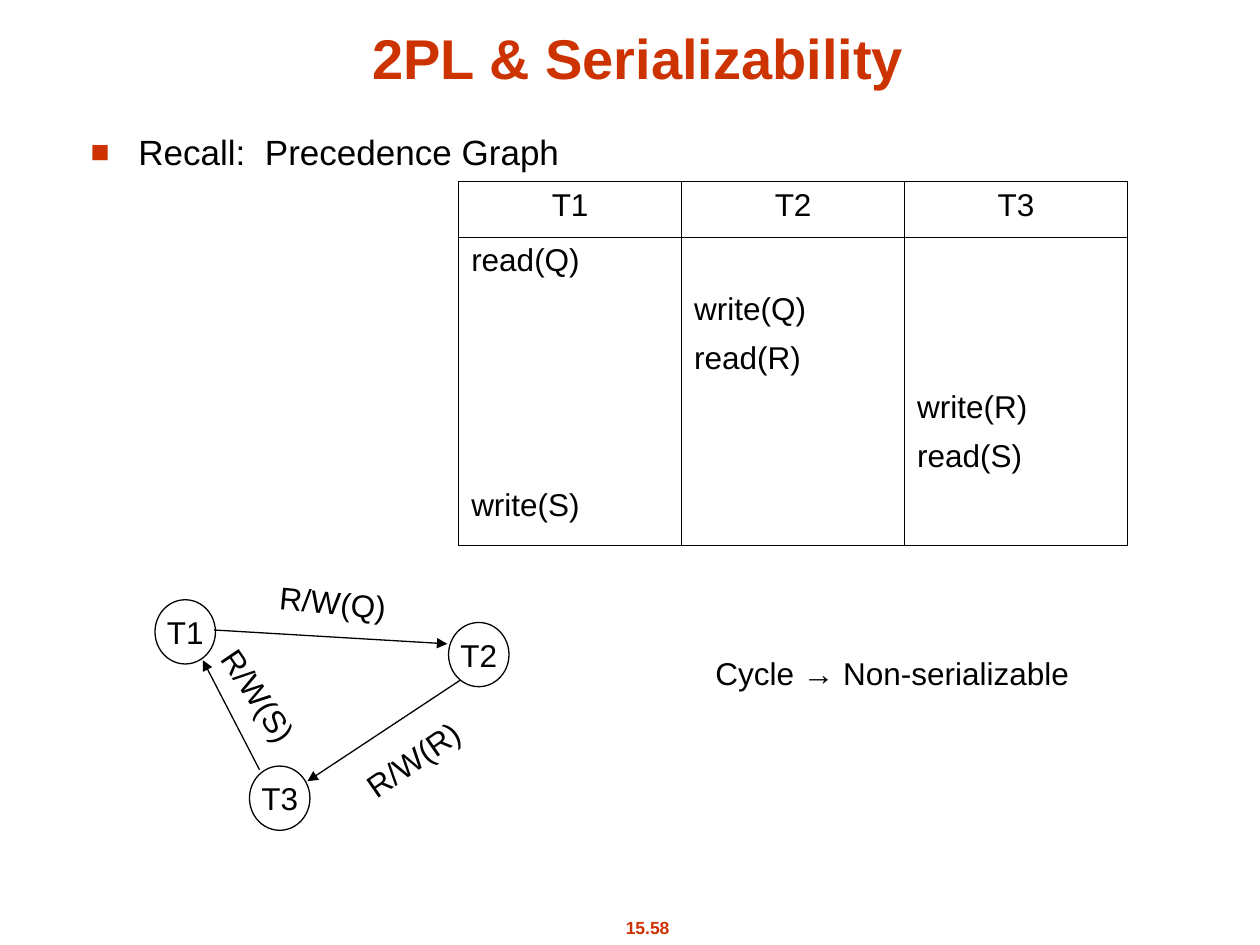
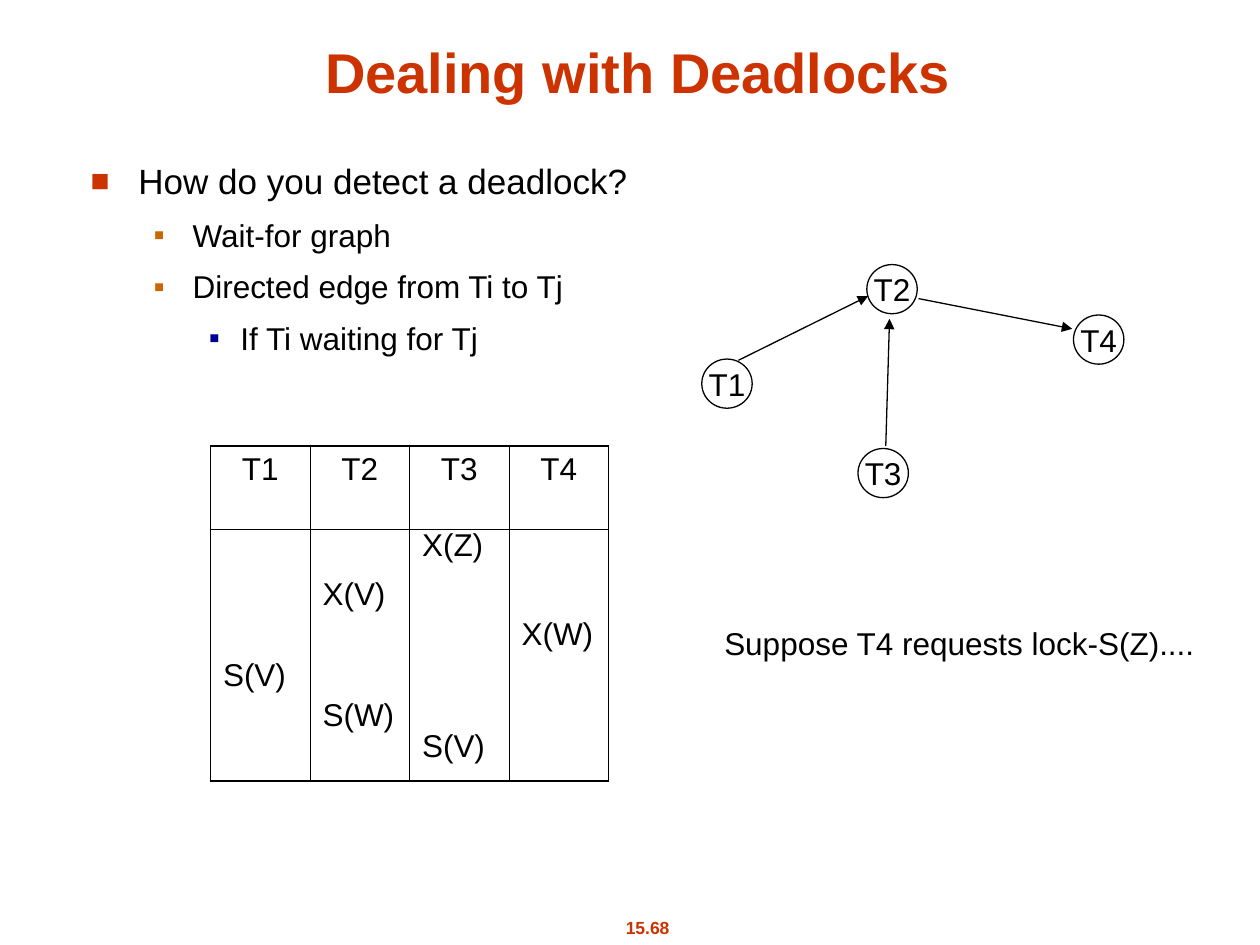
from typing import NamedTuple

from pptx import Presentation
from pptx import util as u
from pptx.dml.color import RGBColor
from pptx.enum import shapes, text
from pptx.oxml import parse_xml
from pptx.oxml.ns import nsdecls
from pptx.slide import Slide
from pptx.table import _Cell
from pptx.text.text import TextFrame, _Paragraph

FONT = "Arial"
RED, ORANGE, BLUE, BLACK = "CC3300", "CC6600", "000099", "000000"
LABEL_SIZE = 18
LINE_HEIGHT = 20.1
ENTRY_GAP = 7.9
CELL_MARGIN = 3.6
OUTER_LINE, INNER_LINE = 1.08, 0.45
GRAPH_LINE = 0.75


class BulletStyle(NamedTuple):
    symbol: str
    color: str
    scale: int
    left: float
    hanging: float
    size: int
    space_before: float


class Bullet(NamedTuple):
    level: int
    words: str


class Operation(NamedTuple):
    transaction: int
    action: str


class Schedule(NamedTuple):
    left: float
    top: float
    column_width: float
    header_height: float
    body_height: float
    line_spacing: float
    operations: list[Operation]


class Node(NamedTuple):
    name: str
    left: float
    top: float


class Edge(NamedTuple):
    start: tuple[float, float]
    end: tuple[float, float]


class Label(NamedTuple):
    words: str
    left: float
    top: float
    width: float
    rotation: float = 0


class Page(NamedTuple):
    number: str
    title: str
    title_height: float
    body_top: float
    bullets: list[Bullet]
    schedule: Schedule
    node_width: float
    node_height: float
    nodes: list[Node]
    edges: list[Edge]
    labels: list[Label]


BULLET_STYLES = [
    BulletStyle("■", RED, 90, 0.38, 0.38, 20, 8.8),
    BulletStyle("▪", ORANGE, 100, 0.81, 0.31, 18, ENTRY_GAP),
    BulletStyle("▪", BLUE, 100, 1.19, 0.25, 18, ENTRY_GAP),
]

PAGES = [
    Page(
        "15.58", "2PL & Serializability", 0.56, 0.99,
        [Bullet(0, "Recall:  Precedence Graph")],
        Schedule(3.64, 1.44, 1.77, 0.44, 2.45, 1, [
            Operation(1, "read(Q)"),
            Operation(2, "write(Q)"),
            Operation(2, "read(R)"),
            Operation(3, "write(R)"),
            Operation(3, "read(S)"),
            Operation(1, "write(S)"),
        ]),
        0.48, 0.51,
        [Node("T1", 1.23, 4.76), Node("T2", 3.56, 4.94), Node("T3", 1.98, 6.08)],
        [
            Edge((1.7, 5), (3.55, 5.11)),
            Edge((3.65, 5.4), (2.44, 6.2)),
            Edge((2.06, 6.11), (1.61, 5.24)),
        ],
        [
            Label("R/W(Q)", 2.12, 4.58, 1.07, 5.4),
            Label("R/W(R)", 2.76, 5.82, 1.05, 325.4),
            Label("R/W(S)", 1.54, 5.33, 1.04, 55.9),
            Label("Cycle → Non-serializable", 5.58, 5.14, 3.2),
        ],
    ),
    Page(
        "15.68", "Dealing with Deadlocks", 0.67, 1.22,
        [
            Bullet(0, "How do you detect a deadlock?"),
            Bullet(1, "Wait-for graph"),
            Bullet(1, "Directed edge from Ti to Tj"),
            Bullet(2, "If Ti waiting for Tj"),
        ],
        Schedule(1.67, 3.54, 0.79, 0.66, 2, 0.75, [
            Operation(3, "X(Z)"),
            Operation(2, "X(V)"),
            Operation(4, "X(W)"),
            Operation(1, "S(V)"),
            Operation(2, "S(W)"),
            Operation(3, "S(V)"),
        ]),
        0.4, 0.39,
        [
            Node("T1", 5.57, 2.85),
            Node("T2", 6.88, 2.1),
            Node("T4", 8.52, 2.5),
            Node("T3", 6.81, 3.56),
        ],
        [
            Edge((5.86, 2.86), (6.89, 2.35)),
            Edge((7.03, 3.54), (7.06, 2.53)),
            Edge((7.29, 2.37), (8.51, 2.61)),
        ],
        [Label("Suppose T4 requests lock-S(Z)....", 5.65, 4.9, 4.1)],
    ),
]


def color(value: str) -> RGBColor:
    return RGBColor.from_string(value)


def add_run(paragraph: _Paragraph, words: str, size: float = LABEL_SIZE,
            fill: str = BLACK, bold: bool = False) -> None:
    run = paragraph.add_run()
    run.text = words
    run.font.name = FONT
    run.font.size = u.Pt(size)
    run.font.bold = bold
    run.font.color.rgb = color(fill)


def add_text_frame(slide: Slide, left: float, top: float, width: float,
                   height: float, rotation: float = 0) -> TextFrame:
    shape = slide.shapes.add_textbox(*map(u.Inches, (left, top, width, height)))
    shape.rotation = rotation
    shape.text_frame.word_wrap = True
    return shape.text_frame


def add_heading(slide: Slide, page: Page) -> None:
    title = add_text_frame(slide, 0.65, 0.21, 8.83, page.title_height)
    title.vertical_anchor = text.MSO_ANCHOR.BOTTOM
    footer = add_text_frame(slide, 4.61, 7.23, 1.06, 0.27)
    for frame, words, size in ((title, page.title, 32), (footer, page.number, 10)):
        paragraph = frame.paragraphs[0]
        paragraph.alignment = text.PP_ALIGN.CENTER
        add_run(paragraph, words, size, RED, bold=True)


def set_bullet(paragraph: _Paragraph, style: BulletStyle) -> None:
    properties = paragraph._p.get_or_add_pPr()
    properties.set("marL", str(u.Inches(style.left)))
    properties.set("indent", str(-u.Inches(style.hanging)))
    for element in (
        f'<a:buClr {nsdecls("a")}><a:srgbClr val="{style.color}"/></a:buClr>',
        f'<a:buSzPct {nsdecls("a")} val="{style.scale * 1000}"/>',
        f'<a:buFont {nsdecls("a")} typeface="{FONT}"/>',
        f'<a:buChar {nsdecls("a")} char="{style.symbol}"/>',
    ):
        properties.append(parse_xml(element))


def add_body(slide: Slide, page: Page) -> None:
    frame = add_text_frame(slide, 0.62, page.body_top, 8.58, 6.55 - page.body_top)
    for index, bullet in enumerate(page.bullets):
        style = BULLET_STYLES[bullet.level]
        paragraph = frame.add_paragraph() if index else frame.paragraphs[0]
        paragraph.level = bullet.level
        set_bullet(paragraph, style)
        if index:
            paragraph.space_before = u.Pt(style.space_before)
        add_run(paragraph, bullet.words, style.size)


def style_cell(cell: _Cell, row: int, column: int, last_column: int) -> None:
    outer_sides = {"L": column == 0, "R": column == last_column, "T": row == 0, "B": row == 1}
    properties = cell._tc.get_or_add_tcPr()
    for side, outer in outer_sides.items():
        width = u.Pt(OUTER_LINE if outer else INNER_LINE)
        properties.append(parse_xml(
            f'<a:ln{side} {nsdecls("a")} w="{width}"><a:solidFill>'
            f'<a:srgbClr val="{BLACK}"/></a:solidFill></a:ln{side}>'))
    cell.fill.background()


def fill_steps(cell: _Cell, schedule: Schedule, transaction: int) -> None:
    step_height = LINE_HEIGHT * schedule.line_spacing + ENTRY_GAP
    previous = None
    for step, operation in enumerate(schedule.operations):
        if operation.transaction != transaction:
            continue
        if previous is None:
            paragraph = cell.text_frame.paragraphs[0]
            if step:
                first_line = LINE_HEIGHT * (1 - schedule.line_spacing)
                cell.margin_top = u.Pt(CELL_MARGIN + step * step_height + first_line)
        else:
            paragraph = cell.text_frame.add_paragraph()
            paragraph.space_before = u.Pt(ENTRY_GAP + (step - previous - 1) * step_height)
        paragraph.line_spacing = float(schedule.line_spacing)
        add_run(paragraph, operation.action)
        previous = step


def add_schedule(slide: Slide, schedule: Schedule) -> None:
    count = max(operation.transaction for operation in schedule.operations)
    heights = (schedule.header_height, schedule.body_height)
    table = slide.shapes.add_table(
        2, count, u.Inches(schedule.left), u.Inches(schedule.top),
        u.Inches(schedule.column_width * count), u.Inches(sum(heights))).table
    table.first_row = table.horz_banding = False
    for row, height in zip(table.rows, heights):
        row.height = u.Inches(height)
    for column in range(count):
        table.columns[column].width = u.Inches(schedule.column_width)
        header, body = table.cell(0, column), table.cell(1, column)
        for row, cell in enumerate((header, body)):
            style_cell(cell, row, column, count - 1)
        paragraph = header.text_frame.paragraphs[0]
        paragraph.alignment = text.PP_ALIGN.CENTER
        add_run(paragraph, f"T{column + 1}")
        fill_steps(body, schedule, column + 1)


def add_node(slide: Slide, node: Node, width: float, height: float) -> None:
    shape = slide.shapes.add_shape(
        shapes.MSO_SHAPE.OVAL, *map(u.Inches, (node.left, node.top, width, height)))
    shape.shadow.inherit = False
    shape.fill.background()
    shape.line.color.rgb = color(BLACK)
    shape.line.width = u.Pt(GRAPH_LINE)
    frame = shape.text_frame
    frame.margin_left = frame.margin_right = frame.margin_top = frame.margin_bottom = 0
    frame.word_wrap = False
    frame.vertical_anchor = text.MSO_ANCHOR.MIDDLE
    frame.paragraphs[0].alignment = text.PP_ALIGN.CENTER
    add_run(frame.paragraphs[0], node.name)


def add_edge(slide: Slide, edge: Edge) -> None:
    connector = slide.shapes.add_connector(
        shapes.MSO_CONNECTOR.STRAIGHT, *map(u.Inches, (*edge.start, *edge.end)))
    connector.line.color.rgb = color(BLACK)
    connector.line.width = u.Pt(GRAPH_LINE)
    connector.line._get_or_add_ln().append(
        parse_xml(f'<a:tailEnd {nsdecls("a")} type="triangle"/>'))
    connector._element.spPr.append(parse_xml(f'<a:effectLst {nsdecls("a")}/>'))


def add_page(slide: Slide, page: Page) -> None:
    add_heading(slide, page)
    add_body(slide, page)
    add_schedule(slide, page.schedule)
    for node in page.nodes:
        add_node(slide, node, page.node_width, page.node_height)
    for edge in page.edges:
        add_edge(slide, edge)
    for label in page.labels:
        frame = add_text_frame(slide, label.left, label.top, label.width, 0.4, label.rotation)
        add_run(frame.paragraphs[0], label.words)


def main() -> None:
    presentation = Presentation()
    presentation.slide_width, presentation.slide_height = u.Inches(10), u.Inches(7.5)
    for page in PAGES:
        add_page(presentation.slides.add_slide(presentation.slide_layouts[6]), page)
    presentation.save("out.pptx")


if __name__ == "__main__":
    main()
